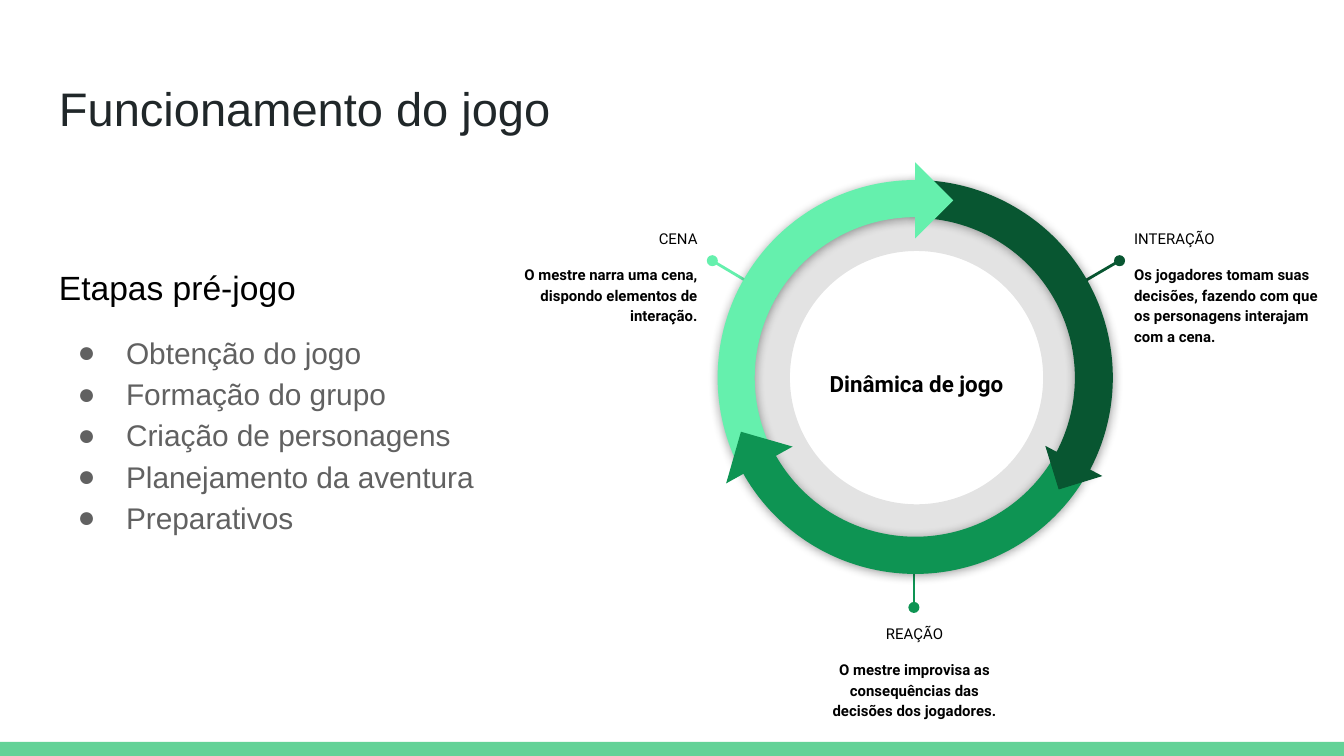
from dataclasses import dataclass

from lxml.etree import SubElement
from pptx import Presentation
from pptx.dml.color import RGBColor
from pptx.enum.shapes import MSO_CONNECTOR, MSO_SHAPE
from pptx.enum.text import MSO_ANCHOR, PP_ALIGN
from pptx.oxml.ns import qn
from pptx.util import Inches, Pt

WHITE = RGBColor(0xFF, 0xFF, 0xFF)
BLACK = RGBColor(0, 0, 0)
INK = RGBColor(0x20, 0x27, 0x29)
GREY = RGBColor(0x61, 0x61, 0x61)
BAND = RGBColor(0x63, 0xD2, 0x97)
LIGHT = RGBColor(0x65, 0xF0, 0xAD)
MIDDLE = RGBColor(0x0E, 0x94, 0x53)
DARK = RGBColor(0x08, 0x56, 0x31)

TITLE = {"name": "Arial", "size": Pt(25.2)}
HEADING = {"name": "Arial", "size": Pt(18)}
ITEM = {"name": "Arial", "size": Pt(16)}
LABEL = {"name": "Roboto", "size": Pt(8)}
DETAIL = {**LABEL, "bold": True}
CENTRE = {"name": "Roboto", "size": Pt(12), "bold": True}

RING_LEFT, RING_SIZE = 5.34, 2.94


@dataclass(frozen=True)
class Line:
    text: str
    font: dict
    color: RGBColor = BLACK
    before: float = 0
    bullet: bool = False


@dataclass(frozen=True)
class Stage:
    name: str
    detail: str
    color: RGBColor
    left: float
    top: float
    align: PP_ALIGN
    dot: tuple[float, float]
    joint: tuple[float, float]


@dataclass(frozen=True)
class Arc:
    color: RGBColor
    top: float
    rotation: float
    adjustments: tuple[float, float, float]
    flipped: bool


@dataclass(frozen=True)
class Tip:
    color: RGBColor
    left: float
    top: float
    size: float
    rotation: float


STAGES = [
    Stage("CENA", "O mestre narra uma cena, dispondo elementos de interação.",
          LIGHT, 3.66, 1.59, PP_ALIGN.RIGHT, (5.3, 1.94), (5.77, 2.22)),
    Stage("INTERAÇÃO", "Os jogadores tomam suas decisões, fazendo com que "
          "os personagens interajam com a cena.",
          DARK, 8.34, 1.59, PP_ALIGN.LEFT, (8.33, 1.94), (7.85, 2.22)),
    Stage("REAÇÃO", "O mestre improvisa as consequências das decisões dos jogadores.",
          MIDDLE, 5.99, 4.53, PP_ALIGN.CENTER, (6.8, 4.52), (6.8, 4.01)),
]
# Later parts overlap earlier ones, so the order closes the cycle
CYCLE = [
    Arc(DARK, 1.34, 30, (144.14, 0.01, 0.096), False),
    Arc(LIGHT, 1.34, 330, (143.49, 214.73, 0.094), True),
    Tip(LIGHT, 6.61, 1.29, 0.4, 225),
    Arc(MIDDLE, 1.33, 210, (143.16, 215.03, 0.094), True),
    Tip(DARK, 7.82, 3.26, 0.34, 342.9),
    Tip(MIDDLE, 5.45, 3.26, 0.4, 106),
]
STEPS = ["Obtenção do jogo", "Formação do grupo", "Criação de personagens",
         "Planejamento da aventura", "Preparativos"]


def add_solid(slide, kind, left, top, width, height, color: RGBColor, rotation=0):
    shape = slide.shapes.add_shape(
        kind, Inches(left), Inches(top), Inches(width), Inches(height))
    shape.shadow.inherit = False
    shape.fill.solid()
    shape.fill.fore_color.rgb = color
    shape.line.fill.background()
    shape.rotation = rotation
    return shape


def add_bullet(paragraph) -> None:
    properties = paragraph._p.get_or_add_pPr()
    properties.set("marL", str(Inches(0.5)))
    properties.set("indent", str(Inches(-0.36)))
    bullet_color = SubElement(properties, qn("a:buClr"))
    SubElement(bullet_color, qn("a:srgbClr"), val=str(GREY))
    SubElement(properties, qn("a:buFont"), typeface="Arial")
    SubElement(properties, qn("a:buChar"), char="●")


def add_text(slide, left, top, width, height, lines: list[Line],
             align=PP_ALIGN.LEFT, anchor=MSO_ANCHOR.TOP, spacing=1.15) -> None:
    frame = slide.shapes.add_textbox(
        Inches(left), Inches(top), Inches(width), Inches(height)).text_frame
    format_values = {"word_wrap": True, "vertical_anchor": anchor}
    for side in ("left", "top", "right", "bottom"):
        format_values[f"margin_{side}"] = Inches(0.1)
    for name, value in format_values.items():
        setattr(frame, name, value)
    for index, line in enumerate(lines):
        paragraph = frame.add_paragraph() if index else frame.paragraphs[0]
        paragraph.alignment = align
        paragraph.line_spacing = spacing
        if line.before:
            paragraph.space_before = Pt(line.before)
        if line.bullet:
            add_bullet(paragraph)
        run = paragraph.add_run()
        run.text = line.text
        for name, value in line.font.items():
            setattr(run.font, name, value)
        run.font.color.rgb = line.color


def add_stage(slide, stage: Stage) -> None:
    leader = slide.shapes.add_connector(
        MSO_CONNECTOR.STRAIGHT, *map(Inches, stage.dot + stage.joint))
    leader.line.color.rgb = stage.color
    leader.line.width = Pt(1.5)
    SubElement(leader.line._get_or_add_ln(), qn("a:headEnd"), type="oval")
    SubElement(leader._element.spPr, qn("a:effectLst"))
    add_text(slide, stage.left, stage.top, 1.63, 0.73,
             [Line(stage.name, LABEL), Line(stage.detail, DETAIL, before=8.2)],
             stage.align)


def add_arc(slide, arc: Arc) -> None:
    shape = add_solid(slide, MSO_SHAPE.BLOCK_ARC, RING_LEFT, arc.top,
                      RING_SIZE, RING_SIZE, arc.color, arc.rotation)
    for index, value in enumerate(arc.adjustments):
        shape.adjustments[index] = value
    properties = shape._element.spPr
    if arc.flipped:
        properties.find(qn("a:xfrm")).set("flipH", "1")
    shadow = SubElement(properties.find(qn("a:effectLst")), qn("a:outerShdw"),
                        blurRad=str(Pt(5.6)), dist=str(Pt(0.8)), dir="5400000",
                        algn="ctr", rotWithShape="0")
    shade = SubElement(shadow, qn("a:srgbClr"), val=str(BLACK))
    SubElement(shade, qn("a:alpha"), val="40000")


def main() -> None:
    # Widescreen page, 16:9
    deck = Presentation()
    deck.slide_width = Inches(10)
    deck.slide_height = Inches(10 * 9 / 16)
    slide = deck.slides.add_slide(deck.slide_layouts[6])
    slide.background.fill.solid()
    slide.background.fill.fore_color.rgb = WHITE

    # Bottom band and title
    add_solid(slide, MSO_SHAPE.RECTANGLE, 0, 5.52, 10, 0.11, BAND)
    add_text(slide, 0.34, 0.49, 9.32, 0.63,
             [Line("Funcionamento do jogo", TITLE, INK)], spacing=1)

    # Translucent inner ring
    ring = add_solid(slide, MSO_SHAPE.DONUT, 5.43, 1.42, 2.78, 2.78, BLACK)
    ring.adjustments[0] = 0.161
    ring_color = ring._element.spPr.find(qn("a:solidFill"))[0]
    SubElement(ring_color, qn("a:alpha"), val="11000")

    # Stage notes and the centre label
    for stage in STAGES:
        add_stage(slide, stage)
    add_text(slide, 6.03, 2.4, 1.58, 0.88, [Line("Dinâmica de jogo", CENTRE)],
             PP_ALIGN.CENTER, MSO_ANCHOR.MIDDLE)

    # Cycle of arrows
    for part in CYCLE:
        if isinstance(part, Arc):
            add_arc(slide, part)
        else:
            add_solid(slide, MSO_SHAPE.RIGHT_TRIANGLE, part.left, part.top,
                      part.size, part.size, part.color, part.rotation)

    # Steps before the game
    steps = [Line(step, ITEM, GREY, 0 if index else 12, True)
             for index, step in enumerate(STEPS)]
    add_text(slide, 0.34, 1.84, 4.66, 2.26,
             [Line("Etapas pré-jogo", HEADING), *steps])

    deck.save("out.pptx")


if __name__ == "__main__":
    main()
